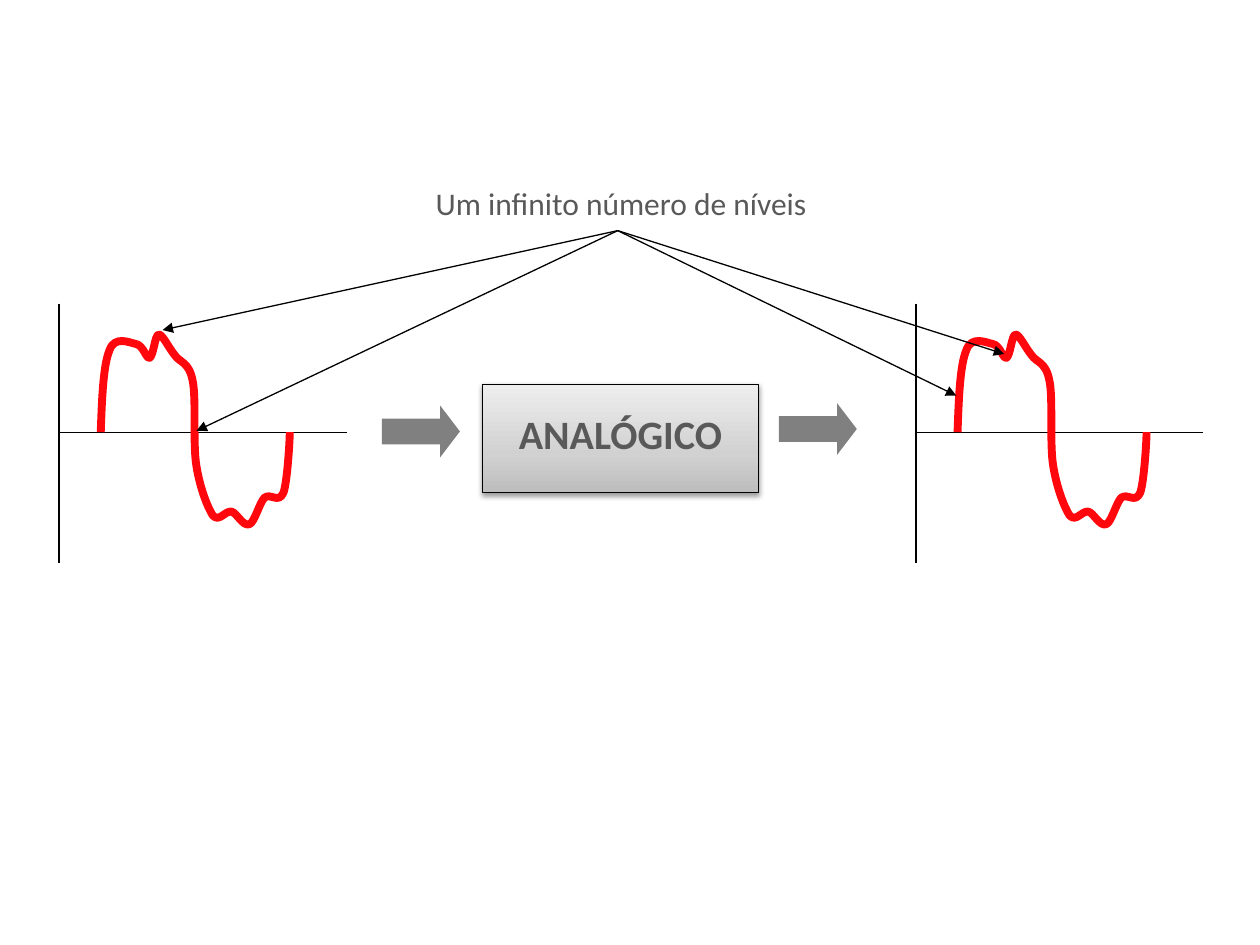
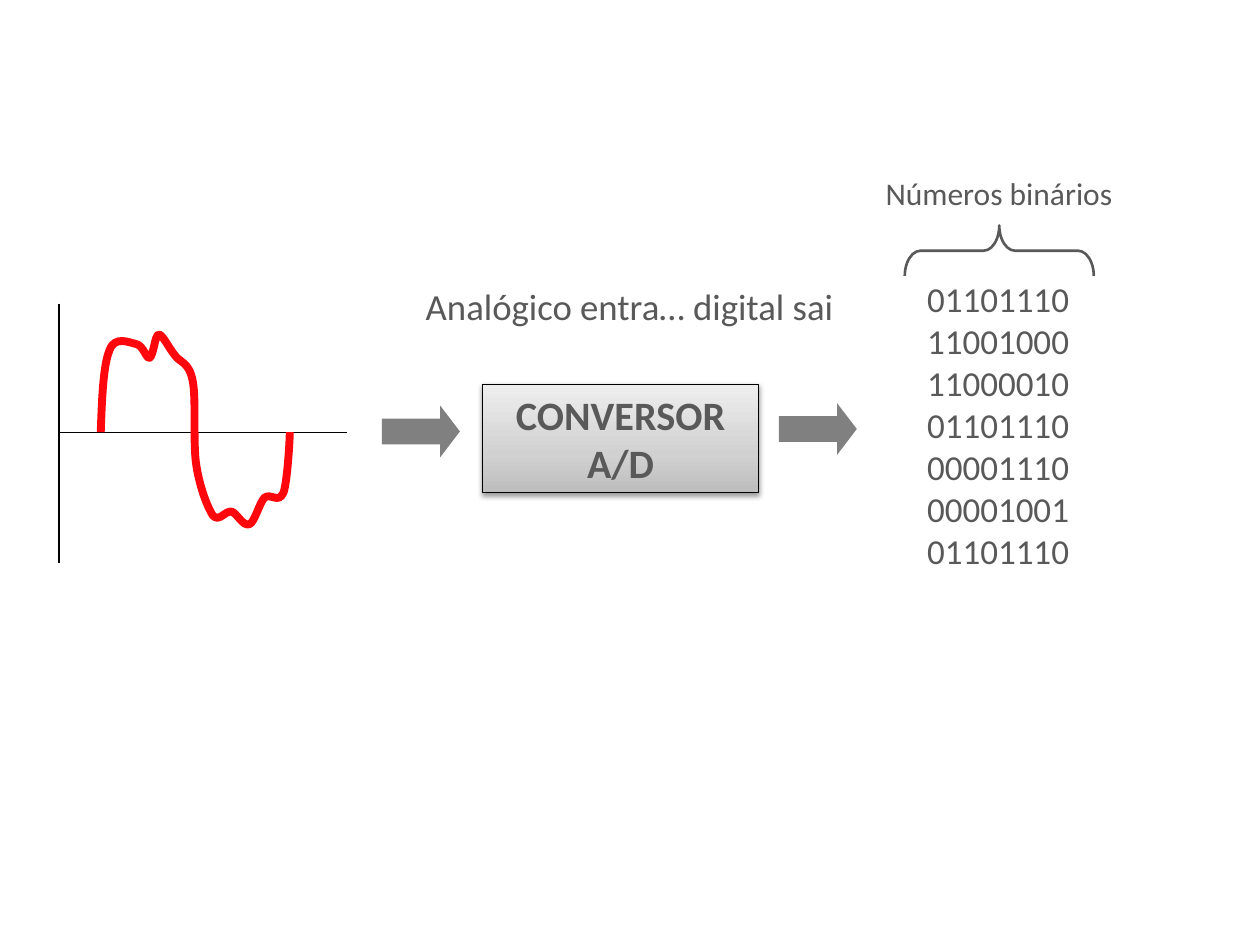
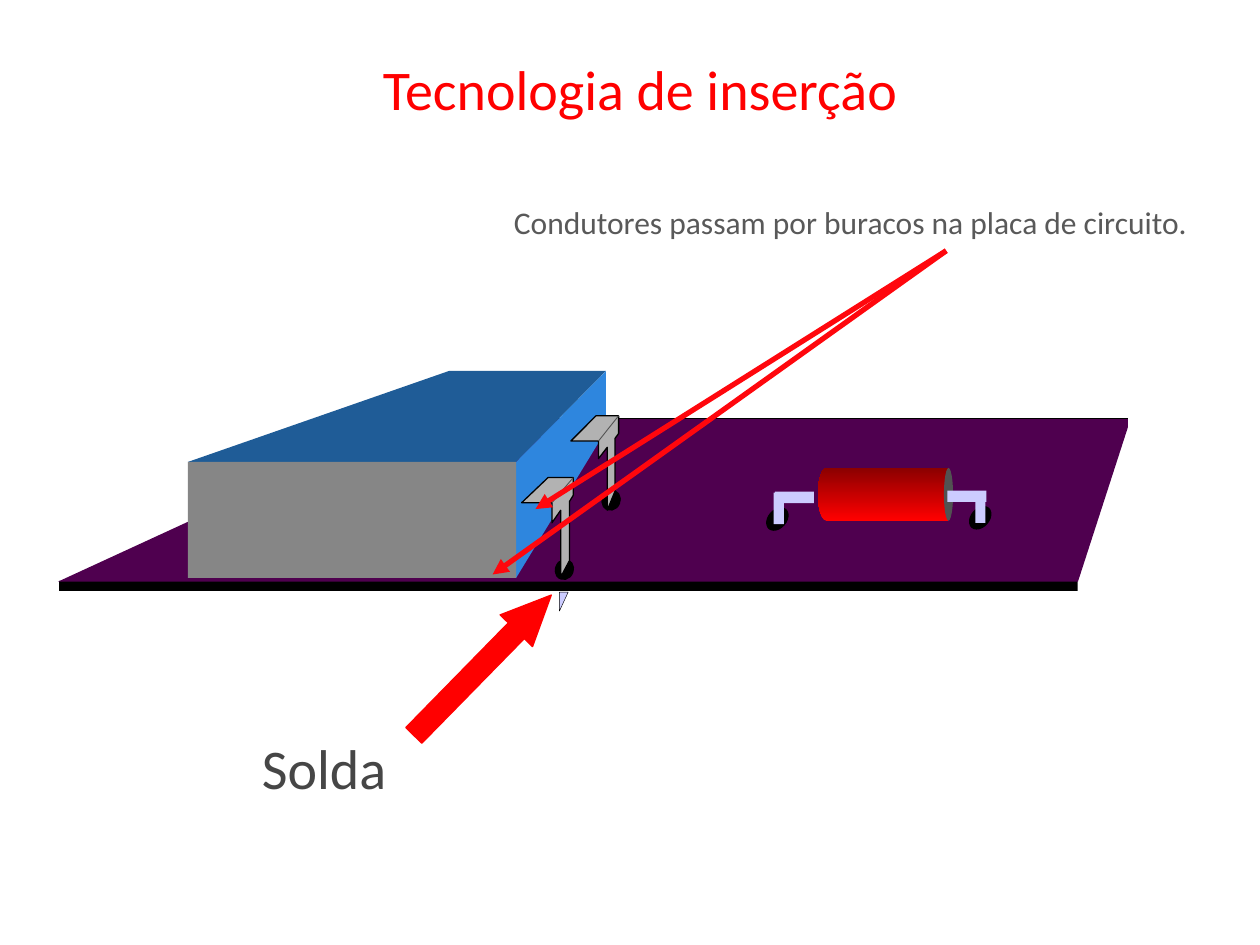
from lxml import etree
from pptx import Presentation
from pptx.dml.color import RGBColor
from pptx.enum.shapes import MSO_CONNECTOR, MSO_SHAPE
from pptx.enum.text import PP_ALIGN
from pptx.oxml.ns import qn
from pptx.util import Pt

RECT, OVAL = MSO_SHAPE.RECTANGLE, MSO_SHAPE.OVAL
ARROW, BRACE = MSO_SHAPE.RIGHT_ARROW, MSO_SHAPE.LEFT_BRACE
STRAIGHT = MSO_CONNECTOR.STRAIGHT
LEFT, CENTER = PP_ALIGN.LEFT, PP_ALIGN.CENTER

FONT = "Calibri"
BLACK = RGBColor(0x00, 0x00, 0x00)
TEXT_GRAY = RGBColor(0x59, 0x59, 0x59)
SOLDER_GRAY = RGBColor(0x46, 0x46, 0x46)
ARROW_GRAY = RGBColor(0x80, 0x80, 0x80)
DARK_GRAY = RGBColor(0x52, 0x52, 0x52)
PIN_GRAY = RGBColor(0xB2, 0xB2, 0xB2)
CHIP_FRONT = RGBColor(0x86, 0x86, 0x86)
CHIP_TOP = RGBColor(0x1F, 0x5C, 0x97)
CHIP_SIDE = RGBColor(0x2E, 0x86, 0xDE)
BOARD_PURPLE = RGBColor(0x4F, 0x00, 0x4F)
WIRE_LILAC = RGBColor(0xCC, 0xCC, 0xFF)
RED = RGBColor(0xFF, 0x00, 0x00)
SIGNAL_RED = RGBColor(0xFF, 0x07, 0x0D)
SILVER = [(0, RGBColor(0xBD, 0xBD, 0xBD)), (35, RGBColor(0xD1, 0xD1, 0xD1)),
          (100, RGBColor(0xEE, 0xEE, 0xEE))]
RESISTOR_REDS = [(0, RED), (100, RGBColor(0x8B, 0x00, 0x00))]

# Start point, then three Bézier points per segment, from the axes' crossing
WAVE = [
    (23.8, 0),
    (24.5, -19.4), (25.2, -38.2), (28.8, -46.8),
    (31.7, -55.4), (40.3, -51.1), (43.9, -50.4),
    (48.2, -49.7), (49.7, -41.8), (51.8, -42.5),
    (54, -43.9), (54.7, -55.4), (56.9, -55.8),
    (59, -56.2), (62.6, -48.2), (66.2, -43.9),
    (69.1, -39.6), (74.2, -40.3), (76.3, -29.5),
    (78.5, -19.4), (76.3, 6.5), (78.5, 19.4),
    (80.6, 32.4), (85, 43.2), (87.8, 47.5),
    (91.4, 51.8), (95, 44.6), (98.6, 45.4),
    (101.5, 46.1), (105.1, 54), (108.7, 52.6),
    (111.6, 51.8), (114.5, 40.3), (117.4, 37.4),
    (121, 34.6), (125.3, 41), (128.2, 34.6),
    (130.3, 28.8), (131.8, 5.8), (131.8, 0),
]
AXIS_Y = 247
INPUT_X, OUTPUT_X = 33.8, 523.4
BOX = (275.8, 219.6, 157.7, 61.9)

HOLE_HALVES = [
    [(7.2, 0.7), (2.9, 10.8), (5.8, 10.8), (7.2, 10.1),
     (8.6, 8.6), (10.1, 5.8), (9.4, 2.9), (8.6, 2.2)],
    [(2.2, 1.4), (2.2, 10.8), (0.7, 9.4), (0, 7.2), (0, 5), (1.4, 2.2)],
]
FRONT_PIN = [(298.1, 287.3), (313.2, 272.9), (327.6, 272.9), (327.6, 283),
             (325.4, 286.6), (325.4, 320.4), (320.4, 329.8), (320.4, 291.6),
             (315.4, 298.8), (315.4, 287.3)]
BACK_PIN = [(326.2, 252), (340.6, 237.6), (353.5, 237.6), (353.5, 247.7),
            (351.4, 250.6), (351.4, 280.8), (347, 291.6), (347, 255.6),
            (342, 262.1), (342, 252)]


def paint(shape, fill=None, line=None, weight=0.75):
    shape.shadow.inherit = False
    if fill is None:
        shape.fill.background()
    else:
        shape.fill.solid()
        shape.fill.fore_color.rgb = fill
    if line is None:
        shape.line.fill.background()
    else:
        shape.line.color.rgb = line
        shape.line.width = Pt(weight)


def preset(slide, kind, box, rotation=0, adjustments=(), **look):
    shape = slide.shapes.add_shape(kind, *map(Pt, box))
    shape.rotation = rotation
    for index, value in enumerate(adjustments):
        shape.adjustments[index] = value
    paint(shape, **look)
    return shape


def outline(slide, points, close=True, **look):
    start, *rest = [(Pt(x), Pt(y)) for x, y in points]
    builder = slide.shapes.build_freeform(*start)
    builder.add_line_segments(rest, close=close)
    shape = builder.convert_to_shape()
    paint(shape, **look)
    return shape


def shifted(points, dx, dy):
    return [(x + dx, y + dy) for x, y in points]


def fill_upward(shape, stops):
    """Fill with a gradient whose (percent, colour) stops run from bottom to top."""
    shape.fill.gradient()
    shape.fill.gradient_angle = 90
    stop_list = next(shape._element.iter(qn("a:gsLst")))
    for old in list(stop_list):
        stop_list.remove(old)
    for percent, color in stops:
        stop = etree.SubElement(stop_list, qn("a:gs"), pos=str(percent * 1000))
        etree.SubElement(stop, qn("a:srgbClr"), val=str(color))


def drop_shadow(shape):
    effects = shape._element.spPr.find(qn("a:effectLst"))
    shadow = etree.SubElement(effects, qn("a:outerShdw"), blurRad=str(Pt(3.1)),
                              dist=str(Pt(1.6)), dir="5400000", rotWithShape="0")
    color = etree.SubElement(shadow, qn("a:srgbClr"), val=str(BLACK))
    etree.SubElement(color, qn("a:alpha"), val="38000")


def line(slide, start, end, color=BLACK, weight=0.75, arrow=False):
    connector = slide.shapes.add_connector(STRAIGHT, *map(Pt, (*start, *end)))
    connector.line.color.rgb = color
    connector.line.width = Pt(weight)
    if arrow:
        etree.SubElement(connector.line._get_or_add_ln(), qn("a:tailEnd"), type="triangle")
    etree.SubElement(connector._element.spPr, qn("a:effectLst"))


def text(slide, lines, box, size=18, color=TEXT_GRAY, bold=False, align=LEFT, wrap=False):
    frame = slide.shapes.add_textbox(*map(Pt, box)).text_frame
    frame.word_wrap = wrap
    frame.text = lines
    for paragraph in frame.paragraphs:
        paragraph.alignment = align
        font = paragraph.runs[0].font
        font.name, font.size, font.bold = FONT, Pt(size), bold
        font.color.rgb = color


def signal(slide, x):
    """Draw the axes and the analogue wave, with the vertical axis at x."""
    line(slide, (x, 173.5), (x, 321.8))
    line(slide, (x, AXIS_Y), (x + 164.2, AXIS_Y))
    wave = outline(slide, shifted(WAVE, x, AXIS_Y), close=False,
                   line=SIGNAL_RED, weight=4.5)
    segments = list(wave._element.iter(qn("a:lnTo")))
    for index in range(0, len(segments), 3):
        curve = etree.Element(qn("a:cubicBezTo"))
        segments[index].addprevious(curve)
        for segment in segments[index:index + 3]:
            curve.append(segment[0])
            segment.getparent().remove(segment)


def process(slide, label, label_top, label_height):
    """Draw the labelled box with an arrow into it and an arrow out of it."""
    left, _, width, _ = BOX
    box = preset(slide, RECT, BOX, line=BLACK)
    fill_upward(box, SILVER)
    drop_shadow(box)
    for x, y in ((218.2, 231.8), (445, 230.4)):
        preset(slide, ARROW, (x, y, 44.6, 29.5), adjustments=(0.5, 0.381), fill=ARROW_GRAY)
    text(slide, label, (left, label_top, width, label_height),
         size=23, bold=True, align=CENTER, wrap=True)


def analogue_slide(slide):
    process(slide, "ANALÓGICO", 230.4, 35.3)
    for x in (INPUT_X, OUTPUT_X):
        signal(slide, x)
    text(slide, "Um infinito número de níveis", (241.9, 101.5, 233.3, 28.8))
    for level in ((92.9, 188.6), (112.3, 246.2), (546.5, 226.1), (573.8, 202.3)):
        line(slide, (353, 131.8), level, arrow=True)


def converter_slide(slide):
    signal(slide, INPUT_X)
    numbers = ["01101110", "11001000", "11000010", "01101110",
               "00001110", "00001001", "01101110"]
    text(slide, "\n".join(numbers), (522.7, 154.8, 96.5, 177.1), size=20)
    text(slide, "Números binários", (499, 95.8, 148.3, 28.8))
    preset(slide, BRACE, (556.6, 89.3, 28.8, 108), rotation=90,
           adjustments=(0.313, 0.5), line=TEXT_GRAY, weight=1.5)
    text(slide, "Analógico entra… digital sai", (236.2, 158.4, 249.8, 32.4), size=21)
    process(slide, "CONVERSOR A/D", 219.6, 63.4)


def board(slide):
    preset(slide, RECT, (33.8, 331.9, 582, 5.8), fill=BLACK)
    outline(slide, [(33.1, 332.4), (616, 332.4), (644.6, 244), (644.6, 239), (236, 239)],
            fill=BOARD_PURPLE)
    line(slide, (236, 239), (644.6, 239))


def chip(slide):
    outline(slide, [(107.4, 264), (256.6, 212), (346.3, 212), (294.9, 264)], fill=CHIP_TOP)
    outline(slide, [(294.9, 264), (346.3, 212), (346.3, 246), (294.9, 330.3)],
            fill=CHIP_SIDE)
    preset(slide, RECT, (107.4, 264, 187.5, 66.3), fill=CHIP_FRONT)
    for x, y in ((317.5, 319.7), (344.2, 280.1)):
        preset(slide, OVAL, (x, y, 10.1, 11.5), rotation=20.9, line=BLACK)
        for half in HOLE_HALVES:
            outline(slide, shifted(half, x, y), fill=BLACK, line=BLACK)
    for pin in (FRONT_PIN, BACK_PIN):
        outline(slide, pin, fill=PIN_GRAY, line=BLACK)
        line(slide, pin[-1], pin[2], color=DARK_GRAY, weight=0.5)
    outline(slide, [(319.7, 338.4), (319.7, 349.2), (324.7, 338.4)],
            fill=WIRE_LILAC, line=BLACK, weight=0.25)


def resistor(slide):
    for kind, x, width in ((OVAL, 467.4, 9.6), (RECT, 472, 70)):
        fill_upward(preset(slide, kind, (x, 267.4, width, 30.2)), RESISTOR_REDS)
    preset(slide, OVAL, (539.4, 267.4, 5.2, 30.2), fill=DARK_GRAY)
    for hole_x, wire_x, leg_x, y in ((439.2, 442.8, 442.1, 281), (555.1, 541.4, 557.3, 280.3)):
        preset(slide, OVAL, (hole_x, y + 8.4, 10.1, 14.4), rotation=41,
               fill=BLACK, line=BLACK)
        preset(slide, RECT, (wire_x, y, 22.3, 6.5), fill=WIRE_LILAC)
        preset(slide, RECT, (leg_x, y + 0.5, 5.8, 18), fill=WIRE_LILAC)


def insertion_slide(slide):
    text(slide, "Tecnologia de inserção", (211.7, 27.4, 311.8, 46.1), size=32, color=RED)
    board(slide)
    chip(slide)
    text(slide, "Solda", (142.6, 415.4, 86.4, 46.1), size=32, color=SOLDER_GRAY)
    preset(slide, ARROW, (219.6, 367.2, 112.3, 25.9), rotation=314.4,
           adjustments=(0.495, 1.102), fill=RED, line=RED)
    text(slide, "Condutores passam por buracos na placa de circuito.",
         (286.6, 112.3, 403.9, 28.8))
    for target in ((306, 290.9), (281.5, 328.3)):
        line(slide, (540.7, 143.3), target, color=SIGNAL_RED, weight=3, arrow=True)
    resistor(slide)


def main():
    deck = Presentation()
    deck.slide_width, deck.slide_height = Pt(720), Pt(540)
    blank = deck.slide_layouts[6]
    for draw in (analogue_slide, converter_slide, insertion_slide):
        draw(deck.slides.add_slide(blank))
    deck.save("out.pptx")


if __name__ == "__main__":
    main()
